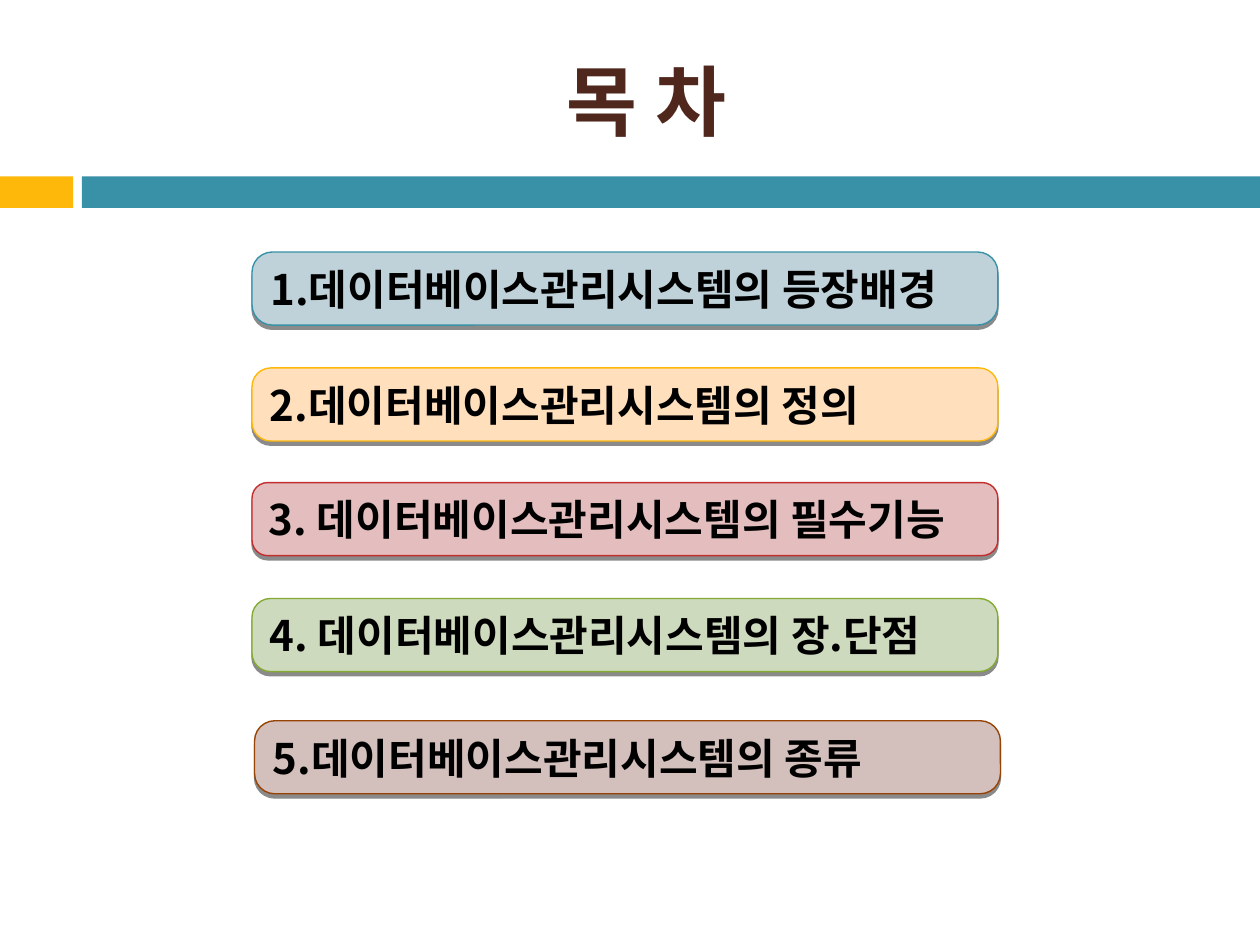
from lxml.etree import SubElement
from pptx import Presentation
from pptx.dml.color import RGBColor
from pptx.enum.shapes import MSO_SHAPE
from pptx.enum.text import MSO_ANCHOR, PP_ALIGN
from pptx.oxml.ns import qn
from pptx.util import Inches, Pt

FONT = "Noto Sans CJK KR"
TITLE = "목 차"
BARS = [(0, 0.58, "FEB80A"), (0.65, 9.35, "3891A7")]
TOPICS = [
    ("1.데이터베이스관리시스템의 등장배경", 2, 2, 0.277, "BFD2D9", "3891A7"),
    ("2.데이터베이스관리시스템의 정의", 2, 2.92, 0.256, "FFDFBC", "FEB80A"),
    ("3. 데이터베이스관리시스템의 필수기능", 2, 3.83, 0.214, "E4BEBE", "C32D2E"),
    ("4. 데이터베이스관리시스템의 장.단점", 2, 4.75, 0.253, "CEDABE", "84AA33"),
    ("5.데이터베이스관리시스템의 종류", 2.02, 5.72, 0.277, "D3C0BC", "964305"),
]
TOPIC_WIDTH, TOPIC_HEIGHT = 5.92, 0.58


def color(value):
    return RGBColor.from_string(value)


def write(shape, text, size, ink="000000", align=PP_ALIGN.LEFT):
    frame = shape.text_frame
    frame.word_wrap = True
    frame.vertical_anchor = MSO_ANCHOR.MIDDLE
    para = frame.paragraphs[0]
    para.alignment = align
    span = para.add_run()
    span.text = text
    span.font.size = Pt(size)
    span.font.bold = True
    span.font.name = FONT
    span.font.color.rgb = color(ink)
    SubElement(span.font._element, qn("a:ea"), typeface=FONT)


def add_box(page, kind, left, top, width, height, fill, line=None):
    box = page.shapes.add_shape(
        kind, Inches(left), Inches(top), Inches(width), Inches(height))
    box.shadow.inherit = False
    box.fill.solid()
    box.fill.fore_color.rgb = color(fill)
    if line:
        box.line.color.rgb = color(line)
        box.line.width = Pt(0.79)
    else:
        box.line.fill.background()
    return box


def drop_shadow(box):
    effects = box._element.spPr.find(qn("a:effectLst"))
    shadow = SubElement(effects, qn("a:outerShdw"), blurRad="0",
                        dist=str(Pt(2.4)), dir="5400000", rotWithShape="0")
    shade = SubElement(shadow, qn("a:srgbClr"), val="000000")
    SubElement(shade, qn("a:alpha"), val="45000")


def main():
    deck = Presentation()
    deck.slide_width, deck.slide_height = Inches(10), Inches(7.5)
    page = deck.slides.add_slide(deck.slide_layouts[5])

    for left, width, fill in BARS:
        add_box(page, MSO_SHAPE.RECTANGLE, left, 1.4, width, 0.25, fill)

    title = page.shapes.title
    title.left, title.top = Inches(0.67), Inches(0.25)
    title.width, title.height = Inches(8.92), Inches(1.08)
    write(title, TITLE, 44, ink="4F271C", align=PP_ALIGN.CENTER)

    for text, left, top, rounding, fill, line in TOPICS:
        box = add_box(page, MSO_SHAPE.ROUNDED_RECTANGLE, left, top,
                      TOPIC_WIDTH, TOPIC_HEIGHT, fill, line)
        box.adjustments[0] = rounding
        drop_shadow(box)
        write(box, text, 24)

    deck.save("out.pptx")


if __name__ == "__main__":
    main()
